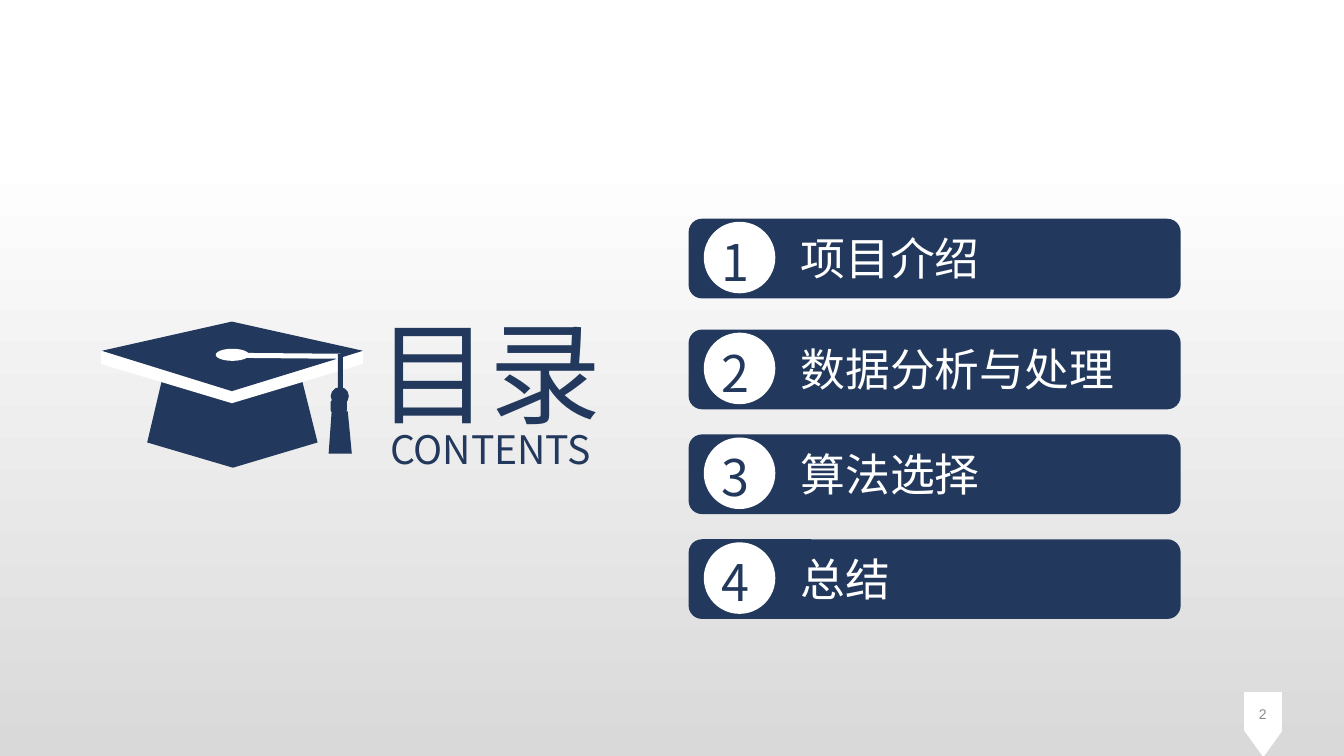
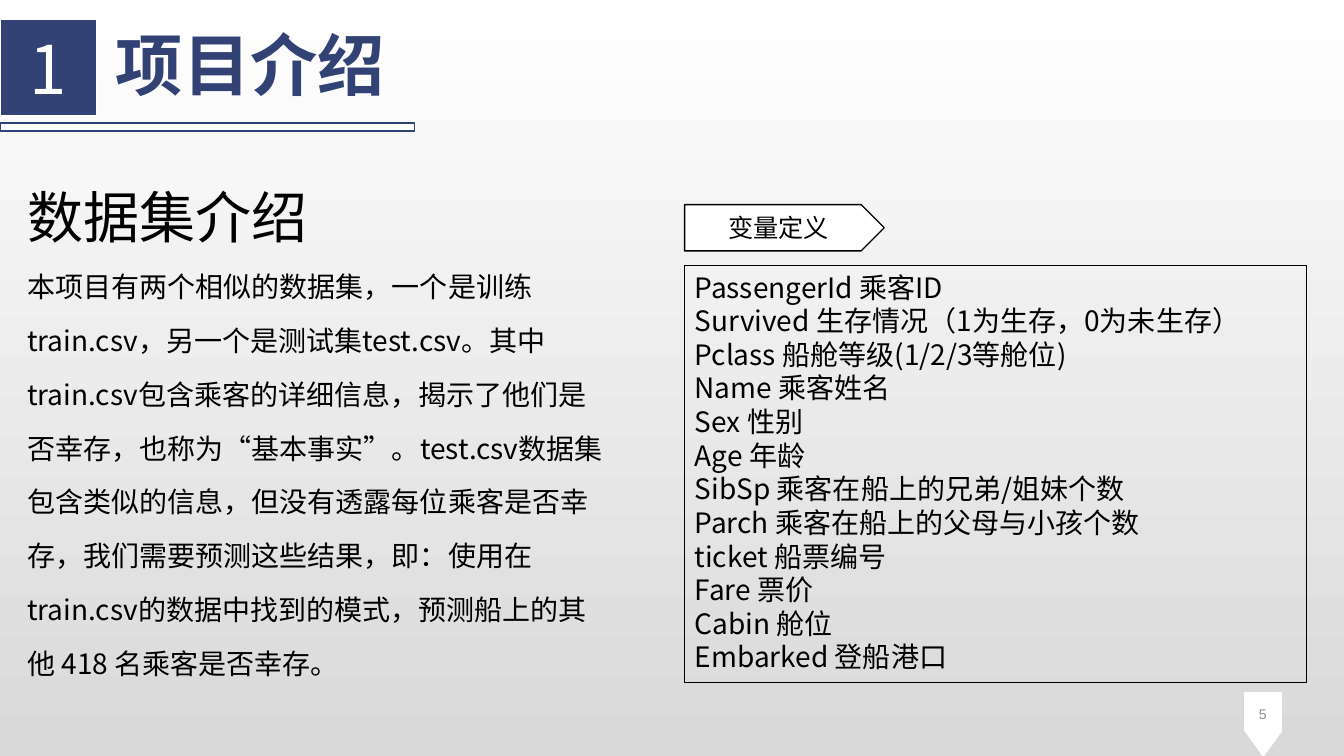
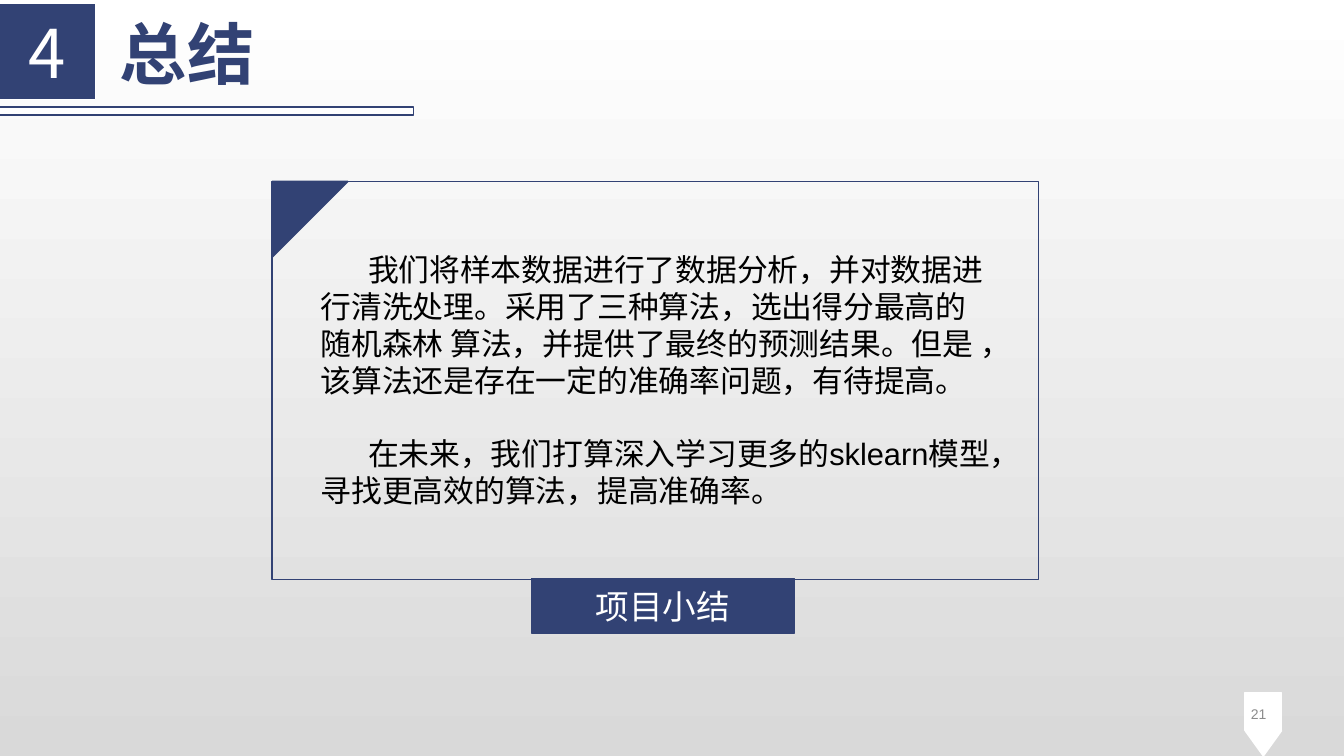
from lxml.etree import SubElement
from pptx import Presentation
from pptx.dml.color import RGBColor
from pptx.enum.shapes import MSO_SHAPE as Kind
from pptx.enum.text import MSO_ANCHOR as Anchor, MSO_AUTO_SIZE as AutoSize, PP_ALIGN as Align
from pptx.oxml.ns import qn
from pptx.util import Inches, Pt

NAVY, INDIGO = "22385C", "324274"
WHITE, BLACK, SILVER, GREY = "FFFFFF", "000000", "D9D9D9", "8C8C8C"
NOTO, ARIAL = "Noto Sans CJK SC", "Arial"

CONTENTS = ["项目介绍", "数据分析与处理", "算法选择", "总结"]
BAR_TOPS = [2.17, 3.27, 4.31, 5.35]
DATASET = [
    "数据集介绍",
    "本项目有两个相似的数据集，一个是训练train.csv，另一个是测试集test.csv。"
    "其中train.csv包含乘客的详细信息，揭示了他们是否幸存，也称为“基本事实”。"
    "test.csv数据集包含类似的信息，但没有透露每位乘客是否幸存，我们需要预测这些结果，"
    "即：使用在 train.csv的数据中找到的模式，预测船上的其他 418 名乘客是否幸存。",
]
VARIABLES = [
    "PassengerId 乘客ID",
    "Survived 生存情况（1为生存，0为未生存）",
    "Pclass 船舱等级(1/2/3等舱位)",
    "Name 乘客姓名",
    "Sex 性别",
    "Age 年龄",
    "SibSp 乘客在船上的兄弟/姐妹个数",
    "Parch 乘客在船上的父母与小孩个数",
    "ticket 船票编号",
    "Fare 票价",
    "Cabin 舱位",
    "Embarked 登船港口",
]
SUMMARY = [
    "我们将样本数据进行了数据分析，并对数据进行清洗处理。采用了三种算法，"
    "选出得分最高的随机森林 算法，并提供了最终的预测结果。但是 ，"
    "该算法还是存在一定的准确率问题，有待提高。",
    "在未来，我们打算深入学习更多的sklearn模型，寻找更高效的算法，提高准确率。",
]


def rgb(code):
    return RGBColor.from_string(code)


def apply(target, **values):
    """Set each named attribute of the target."""
    for name, value in values.items():
        setattr(target, name, value)


def move(box, at):
    apply(box, **dict(zip(("left", "top", "width", "height"), map(Inches, at))))


def paint(shape, fill=None, line=None, weight=1):
    if fill:
        shape.fill.solid()
        shape.fill.fore_color.rgb = rgb(fill)
    else:
        shape.fill.background()
    if line:
        shape.line.color.rgb = rgb(line)
        shape.line.width = Pt(weight)
    else:
        shape.line.fill.background()


def add_shape(parent, kind, at, fill=None, line=None, rotation=0):
    shape = parent.shapes.add_shape(kind, *map(Inches, at))
    apply(shape, rotation=rotation)
    shape.shadow.inherit = False
    paint(shape, fill, line)
    return shape


def add_polygon(parent, points, fill):
    corners = [(Inches(x), Inches(y)) for x, y in points]
    builder = parent.shapes.build_freeform(*corners[0])
    builder.add_line_segments(corners[1:], close=True)
    shape = builder.convert_to_shape()
    shape.shadow.inherit = False
    paint(shape, fill)


def write(box, lines, size, color, font=NOTO, bold=False, align=Align.LEFT,
          anchor=Anchor.TOP, spacing=1.0, gap=0, indent=0):
    """Fill a shape or placeholder with unbulleted paragraphs and return them."""
    frame = box.text_frame
    frame.text = "\n".join(lines)
    apply(frame, word_wrap=True, auto_size=AutoSize.NONE, vertical_anchor=anchor)
    for index, para in enumerate(frame.paragraphs):
        apply(para, alignment=align, line_spacing=spacing,
              space_before=Pt(gap if index else 0), space_after=Pt(0))
        props = para._p.get_or_add_pPr()
        props.set("marL", "0")
        props.set("indent", str(Inches(indent)))
        SubElement(props, qn("a:buNone"))
        span = para.runs[0]
        apply(span.font, size=Pt(size), bold=bold, name=font)
        span.font.color.rgb = rgb(color)
        span_props = span._r.get_or_add_rPr()
        span_props.set("lang", "zh-CN")
        SubElement(span_props, qn("a:ea"), typeface=NOTO)
    return frame.paragraphs


def add_text(parent, at, text, size, color, **look):
    write(parent.shapes.add_textbox(*map(Inches, at)), [text], size, color, **look)


def fill_placeholder(page, index, at, lines, size, color, **look):
    box = page.placeholders[index]
    move(box, at)
    return write(box, lines, size, color, **look)


def paint_background(page, start=0.0):
    """Fade the background from white at the start position to silver below."""
    fill = page.background.fill
    fill.gradient()
    fill.gradient_angle = 270
    for stop, color, position in zip(fill.gradient_stops, (WHITE, SILVER), (start, 1.0)):
        stop.color.rgb = rgb(color)
        stop.position = position


def add_page(deck, layout, number):
    """Add a slide with its number on a white pennant."""
    page = deck.slides.add_slide(deck.slide_layouts[layout])
    add_shape(page, Kind.RECTANGLE, (12.35, 6.87, 0.36, 0.38), WHITE, WHITE)
    add_shape(page, Kind.ISOSCELES_TRIANGLE, (12.35, 7.25, 0.36, 0.25), WHITE, WHITE, 180)
    add_text(page, (9.71, 6.91, 2.95, 0.35), number, 10, GREY, font=ARIAL,
             align=Align.RIGHT, anchor=Anchor.MIDDLE)
    return page


def add_section_header(page, number, title, left, top, title_at):
    badge = add_shape(page, Kind.RECTANGLE, (left, top, 0.96, 0.96), INDIGO, WHITE)
    write(badge, [number], 48, WHITE, align=Align.CENTER, anchor=Anchor.MIDDLE)
    fill_placeholder(page, 0, (*title_at, 4.28, 0.91), [title], 48, INDIGO, bold=True)
    add_shape(page, Kind.RECTANGLE, (left, top + 1.03, 4.11, 0.08), WHITE, INDIGO)


def add_graduation_cap(page):
    cap = page.shapes.add_group_shape()
    crown = [(3.15, 4.39), (2.31, 4.64), (1.46, 4.39), (1.63, 3.67), (2.97, 3.67)]
    rim = [(3.6, 3.48), (2.3, 3.19), (1, 3.48), (1, 3.61), (2.3, 4), (3.6, 3.61)]
    board = [(2.3, 3.88), (1.01, 3.48), (2.3, 3.19), (3.6, 3.48)]
    cord = [(2.25, 3.5), (3.38, 3.51), (3.38, 3.56), (2.25, 3.55)]
    tassel = [(3.29, 4.08), (3.45, 4.08), (3.49, 4.5), (3.26, 4.5)]
    for points, fill in ((crown, NAVY), (rim, WHITE), (board, NAVY),
                         (cord, WHITE), (tassel, NAVY)):
        add_polygon(cap, points, fill)
    for kind, at, fill in (
        (Kind.ROUNDED_RECTANGLE, (3.35, 3.51, 0.05, 0.38), NAVY),
        (Kind.OVAL, (3.28, 3.84, 0.18, 0.18), NAVY),
        (Kind.ROUNDED_RECTANGLE, (3.28, 3.97, 0.16, 0.12), NAVY),
        (Kind.OVAL, (2.14, 3.46, 0.33, 0.12), WHITE),
    ):
        add_shape(cap, kind, at, fill)


def add_contents_bar(page, top, number, label):
    bar = page.shapes.add_group_shape()
    add_shape(bar, Kind.ROUNDED_RECTANGLE, (6.83, top, 4.88, 0.79), NAVY)
    add_shape(bar, Kind.OVAL, (6.98, top + 0.03, 0.71, 0.71), WHITE)
    add_text(bar, (7.06, top + 0.07, 0.58, 0.71), number, 36, NAVY)
    add_text(bar, (7.84, top + 0.07, 3.69, 0.64), label, 32, WHITE)


def build_contents(deck):
    page = add_page(deck, 5, "2")
    paint_background(page, 0.2)
    add_graduation_cap(page)
    fill_placeholder(page, 0, (3.64, 2.96, 2.59, 1.45), ["目录"], 80, NAVY)
    add_text(page, (3.77, 4.17, 2.35, 0.57), "CONTENTS", 28, NAVY)
    for number, (top, label) in enumerate(zip(BAR_TOPS, CONTENTS), 1):
        add_contents_bar(page, top, str(number), label)


def build_introduction(deck):
    page = add_page(deck, 3, "5")
    add_section_header(page, "1", CONTENTS[0], 0, 0.19, (1.05, 0.18))
    heading, _ = fill_placeholder(page, 1, (0.17, 1.56, 6.02, 5.28), DATASET, 20, BLACK,
                                  spacing=1.6)
    apply(heading, line_spacing=1.3)
    apply(heading.runs[0].font, size=Pt(40))
    tag = add_shape(page, Kind.PENTAGON, (6.79, 2.03, 1.98, 0.46), WHITE, BLACK)
    write(tag, ["变量定义"], 18, BLACK, font=ARIAL, align=Align.CENTER, anchor=Anchor.MIDDLE)
    fill_placeholder(page, 2, (6.79, 2.63, 6.17, 4.14), VARIABLES, 20, BLACK)
    paint(page.placeholders[2], line=BLACK, weight=0.75)


def build_summary(deck):
    page = add_page(deck, 1, "21")
    add_section_header(page, "4", CONTENTS[3], -0.01, 0.03, (1.09, 0.07))
    add_shape(page, Kind.RECTANGLE, (2.7, 1.8, 7.6, 3.95), line=INDIGO)
    caption = add_shape(page, Kind.RECTANGLE, (5.27, 5.74, 2.61, 0.54), INDIGO, INDIGO)
    write(caption, ["项目小结"], 24, WHITE, font=ARIAL, align=Align.CENTER,
          anchor=Anchor.MIDDLE)
    add_shape(page, Kind.RIGHT_TRIANGLE, (2.7, 1.8, 0.75, 0.75), INDIGO, INDIGO, 90)
    fill_placeholder(page, 1, (3.08, 2.44, 6.9, 3.06), SUMMARY, 22, BLACK, font=ARIAL,
                     gap=26, indent=0.47)


def main():
    deck = Presentation()
    apply(deck, slide_width=Inches(13.33), slide_height=Inches(7.5))
    paint_background(deck.slide_master)
    build_contents(deck)
    build_introduction(deck)
    build_summary(deck)
    deck.save("out.pptx")


if __name__ == "__main__":
    main()
